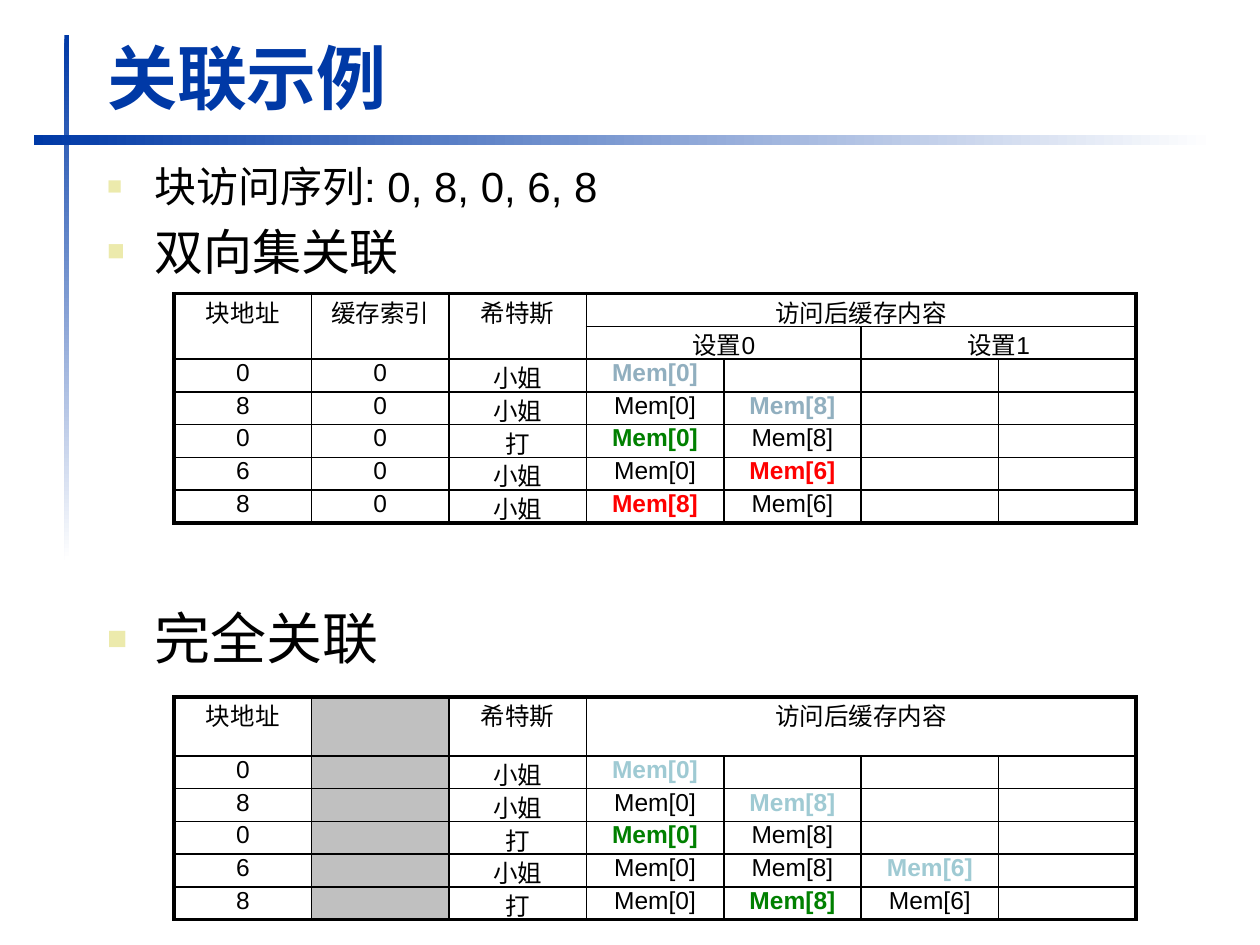
from dataclasses import dataclass

from lxml.etree import SubElement
from pptx import Presentation
from pptx.dml.color import RGBColor as Rgb
from pptx.enum.shapes import MSO_SHAPE as Shape
from pptx.enum.text import MSO_ANCHOR as Anchor, PP_ALIGN as Align
from pptx.oxml.ns import qn
from pptx.util import Cm, Pt


@dataclass(frozen=True)
class Theme:
    font: str = "Arial"
    blue: str = "0039A6"
    white: str = "FFFFFF"
    black: str = "000000"
    bullet: str = "ECEAAC"
    grey: str = "C0C0C0"
    steel: str = "91AFBF"
    aqua: str = "9FCAD3"
    green: str = "008000"
    red: str = "FF0000"
    title_size: int = 40
    cell_size: int = 14
    thin: float = 1
    thick: float = 2.25


THEME = Theme()


def add_xml(parent, tag, **attributes):
    return SubElement(parent, qn(tag), {k: str(v) for k, v in attributes.items()})


def write(paragraph, text, size, color=THEME.black, bold=False, align=Align.LEFT):
    """Put text in a paragraph; an empty text only fixes the line's size."""
    paragraph.alignment = align
    if not text:
        paragraph.font.size = Pt(size)
        add_xml(paragraph._p, "a:endParaRPr", sz=size * 100)
        return
    run = paragraph.add_run()
    run.text = text
    run.font.name = THEME.font
    run.font.size = Pt(size)
    run.font.bold = bold
    run.font.color.rgb = Rgb.from_string(color)


def space_above(paragraph):
    """Set the space before to 20% of a line."""
    spacing = add_xml(paragraph._p.get_or_add_pPr(), "a:spcBef")
    add_xml(spacing, "a:spcPct", val=20000)


class SlideBuilder:
    def __init__(self, slide, theme):
        self.slide = slide
        self.theme = theme

    def fading_bar(self, left, top, width, height, angle):
        bar = self.slide.shapes.add_shape(
            Shape.RECTANGLE, Cm(left), Cm(top), Cm(width), Cm(height))
        bar.shadow.inherit = False
        bar.line.fill.background()
        bar.fill.gradient()
        bar.fill.gradient_angle = angle
        for stop, color in zip(bar.fill.gradient_stops,
                               (self.theme.blue, self.theme.white)):
            stop.color.rgb = Rgb.from_string(color)

    def text_frame(self, left, top, width, height, anchor=Anchor.TOP):
        box = self.slide.shapes.add_textbox(Cm(left), Cm(top), Cm(width), Cm(height))
        frame = box.text_frame
        frame.word_wrap = True
        frame.vertical_anchor = anchor
        return frame

    def title(self, text, *place):
        frame = self.text_frame(*place, anchor=Anchor.BOTTOM)
        write(frame.paragraphs[0], text, self.theme.title_size,
              color=self.theme.blue, bold=True)

    def bullets(self, items, *place, line_spacing=None):
        """Write (text, size) items as a list with square bullets."""
        frame = self.text_frame(*place)
        for index, (text, size) in enumerate(items):
            paragraph = frame.add_paragraph() if index else frame.paragraphs[0]
            write(paragraph, text, size)
            paragraph.line_spacing = line_spacing
            space_above(paragraph)
            props = paragraph._p.get_or_add_pPr()
            props.set("marL", str(Cm(0.95)))
            props.set("indent", str(-Cm(0.95)))
            add_xml(add_xml(props, "a:buClr"), "a:srgbClr", val=self.theme.bullet)
            add_xml(props, "a:buSzPct", val=60000)
            add_xml(props, "a:buFont", typeface=self.theme.font)
            add_xml(props, "a:buChar", char="■")

    def borders(self, cell, outer_sides):
        props = cell._tc.get_or_add_tcPr()
        for side in "LRTB":
            width = self.theme.thick if side in outer_sides else self.theme.thin
            line = add_xml(props, f"a:ln{side}", w=Pt(width))
            add_xml(add_xml(line, "a:solidFill"), "a:srgbClr", val=self.theme.black)

    def table(self, rows, heights, merges, left, top, column_width, grey_column=None):
        """Cells are texts, or (text, colour) pairs for highlighted ones."""
        row_count, column_count = len(rows), len(rows[0])
        grid = self.slide.shapes.add_table(
            row_count, column_count, Cm(left), Cm(top),
            Cm(column_width * column_count), Cm(sum(heights))).table
        grid.first_row = grid.horz_banding = False
        for column in grid.columns:
            column.width = Cm(column_width)
        for row, height in zip(grid.rows, heights):
            row.height = Cm(height)
        for first, last in merges:
            grid.cell(*first).merge(grid.cell(*last))

        for r, row in enumerate(rows):
            for c, content in enumerate(row):
                cell = grid.cell(r, c)
                text, color = content if isinstance(content, tuple) else (content, None)
                cell.margin_top = cell.margin_bottom = 0
                paragraph = cell.text_frame.paragraphs[0]
                write(paragraph, text, self.theme.cell_size, align=Align.CENTER,
                      color=color or self.theme.black, bold=bool(color))
                space_above_needed = bool(text)
                if space_above_needed:
                    space_above(paragraph)
                if not cell.is_spanned:
                    right = c + (cell.span_width if cell.is_merge_origin else 1)
                    bottom = r + (cell.span_height if cell.is_merge_origin else 1)
                    edges = {"L": c == 0, "R": right == column_count,
                             "T": r == 0, "B": bottom == row_count}
                    self.borders(cell, [side for side, outer in edges.items() if outer])
                if c == grey_column:
                    cell.fill.solid()
                    cell.fill.fore_color.rgb = Rgb.from_string(self.theme.grey)
                else:
                    cell.fill.background()


def main():
    presentation = Presentation()
    presentation.slide_width, presentation.slide_height = Cm(25.4), Cm(19.05)
    page = SlideBuilder(presentation.slides.add_slide(presentation.slide_layouts[6]), THEME)

    page.fading_bar(1.3, 0.71, 0.1, 10.59, angle=270)
    page.fading_bar(0.69, 2.72, 23.8, 0.2, angle=0)
    page.title("关联示例", 1.91, 0.56, 22.94, 1.96)
    page.bullets([("块访问序列: 0, 8, 0, 6, 8", 24), ("双向集关联", 28)],
                 1.91, 3.12, 22.99, 2.01)

    miss, hit, contents = "小姐", "打", "访问后缓存内容"
    mem0, mem6, mem8 = "Mem[0]", "Mem[6]", "Mem[8]"
    two_way = [
        ["块地址", "缓存索引", "希特斯", contents, "", "", ""],
        ["", "", "", "设置0", "", "设置1", ""],
        ["0", "0", miss, (mem0, THEME.steel), "", "", ""],
        ["8", "0", miss, mem0, (mem8, THEME.steel), "", ""],
        ["0", "0", hit, (mem0, THEME.green), mem8, "", ""],
        ["6", "0", miss, mem0, (mem6, THEME.red), "", ""],
        ["8", "0", miss, (mem8, THEME.red), mem6, "", ""],
    ]
    header_merges = [((0, c), (1, c)) for c in range(3)]
    set_merges = [((1, c), (1, c + 1)) for c in (3, 5)]
    contents_merge = ((0, 3), (0, 6))
    column_width, row_height = 2.77, 0.66
    page.table(two_way, [row_height] * 7, [*header_merges, contents_merge, *set_merges],
               3.51, 5.92, column_width)

    page.bullets([("完全关联", 32)], 1.91, 12.19, 21.59, 1.6, line_spacing=0.9)
    fully = [
        ["块地址", "", "希特斯", contents, "", "", ""],
        ["0", "", miss, (mem0, THEME.aqua), "", "", ""],
        ["8", "", miss, mem0, (mem8, THEME.aqua), "", ""],
        ["0", "", hit, (mem0, THEME.green), mem8, "", ""],
        ["6", "", miss, mem0, mem8, (mem6, THEME.aqua), ""],
        ["8", "", hit, mem0, (mem8, THEME.green), mem6, ""],
    ]
    page.table(fully, [1.19] + [row_height] * 5, [contents_merge],
               3.51, 14.05, column_width, grey_column=1)
    presentation.save("out.pptx")


if __name__ == "__main__":
    main()
